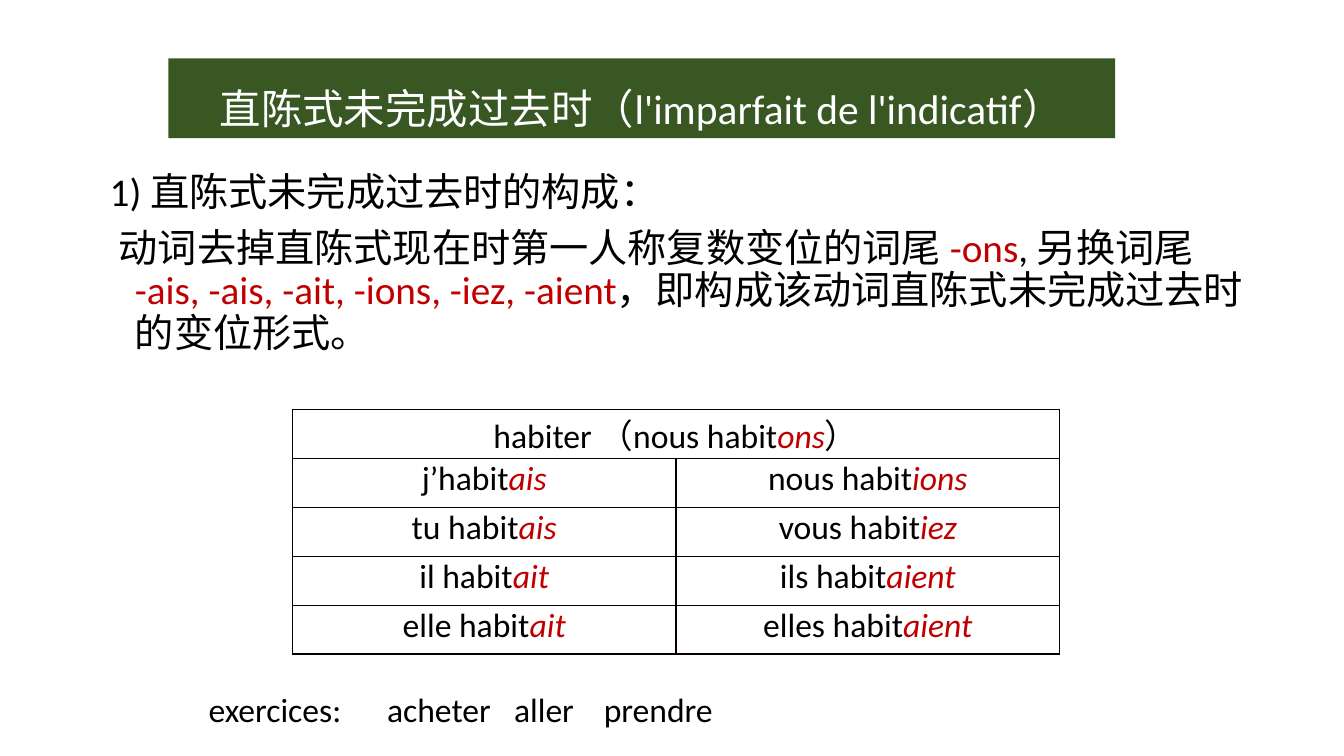
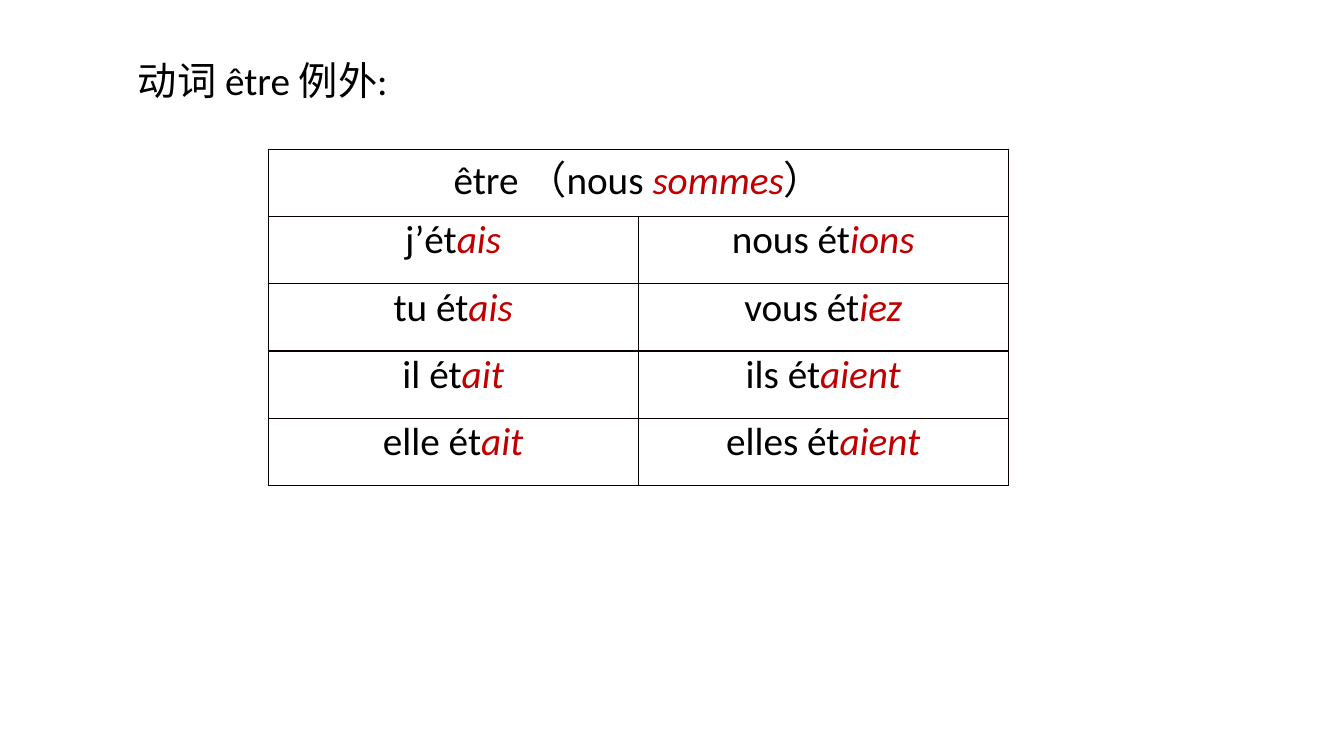
from dataclasses import dataclass
from itertools import groupby

from lxml import etree
from pptx import Presentation
from pptx.dml.color import RGBColor
from pptx.enum.shapes import MSO_SHAPE
from pptx.enum.text import MSO_ANCHOR, PP_ALIGN
from pptx.oxml.ns import qn
from pptx.util import Inches, Pt


@dataclass(frozen=True)
class Theme:
    font: str = "Calibri"
    cjk_font: str = "Noto Sans CJK SC"
    text: RGBColor = RGBColor(0x00, 0x00, 0x00)
    ending: RGBColor = RGBColor(0xC0, 0x00, 0x00)
    banner: RGBColor = RGBColor(0x38, 0x57, 0x23)
    on_banner: RGBColor = RGBColor(0xFF, 0xFF, 0xFF)
    border: str = "080000"
    border_width: float = 1
    title_size: float = 29.6
    body_size: float = 28
    small_size: float = 24
    line_spacing: float = 0.9


THEME = Theme()

# Left pronoun, its ending, right pronoun, its ending
FORMS = [
    ("jʼ", "ais", "nous ", "ions"),
    ("tu ", "ais", "vous ", "iez"),
    ("il ", "ait", "ils ", "aient"),
    ("elle ", "ait", "elles ", "aient"),
]


def add_runs(p, text, size, color=THEME.text, italic=False, cjk_brackets=False):
    """Write text, colouring the parts between asterisks as verb endings."""
    for i, part in enumerate(text.split("*")):
        marked = i % 2 == 1
        for bracket, chars in groupby(part, lambda c: cjk_brackets and c in "（）"):
            r = p.add_run()
            r.text = "".join(chars)
            r.font.size = Pt(size)
            r.font.name = THEME.cjk_font if bracket else THEME.font
            r.font.color.rgb = THEME.ending if marked else color
            r.font.italic = marked and italic
            if bracket:
                ea = etree.SubElement(r.font._element, qn("a:ea"))
                ea.set("typeface", THEME.cjk_font)


def set_indent(p, left, first=0):
    pPr = p._p.get_or_add_pPr()
    pPr.set("marL", str(Inches(left)))
    pPr.set("indent", str(Inches(first)))


def set_tabs(p, stops):
    tabs = etree.SubElement(p._p.get_or_add_pPr(), qn("a:tabLst"))
    for stop in stops:
        etree.SubElement(tabs, qn("a:tab"), pos=str(Inches(stop)), algn="l")


def add_text(slide, box, paragraphs, size, anchor=MSO_ANCHOR.TOP):
    """Add a text box and return its paragraphs."""
    tf = slide.shapes.add_textbox(*map(Inches, box)).text_frame
    tf.word_wrap = True
    tf.vertical_anchor = anchor
    for i, text in enumerate(paragraphs):
        p = tf.add_paragraph() if i else tf.paragraphs[0]
        p.line_spacing = THEME.line_spacing
        if i:
            p.space_before = Pt(10)
        add_runs(p, text, size)
    return tf.paragraphs


def add_banner(slide, box, text):
    s = slide.shapes.add_shape(MSO_SHAPE.RECTANGLE, *map(Inches, box))
    s.shadow.inherit = False
    s.fill.solid()
    s.fill.fore_color.rgb = THEME.banner
    s.line.fill.background()
    tf = s.text_frame
    tf.word_wrap = True
    tf.vertical_anchor = MSO_ANCHOR.BOTTOM
    p = tf.paragraphs[0]
    p.alignment = PP_ALIGN.CENTER
    p.line_spacing = THEME.line_spacing
    add_runs(p, text, THEME.title_size, THEME.on_banner)


def style_cell(cell):
    cell.margin_left = cell.margin_right = cell.margin_top = cell.margin_bottom = 0
    cell.fill.background()
    tcPr = cell._tc.get_or_add_tcPr()
    for i, side in enumerate("LRTB"):
        ln = etree.Element(qn(f"a:ln{side}"), w=str(Pt(THEME.border_width)))
        fill = etree.SubElement(ln, qn("a:solidFill"))
        etree.SubElement(fill, qn("a:srgbClr"), val=THEME.border)
        tcPr.insert(i, ln)


def add_conjugation(slide, box, heading, stem, size):
    """Add a table with a merged heading above the forms of one verb."""
    rows = [(heading, "")] + [
        (f"{left}{stem}*{left_end}*", f"{right}{stem}*{right_end}*")
        for left, left_end, right, right_end in FORMS
    ]
    table = slide.shapes.add_table(len(rows), 2, *map(Inches, box)).table
    table.first_row = table.horz_banding = False
    table.cell(0, 0).merge(table.cell(0, 1))
    for r, texts in enumerate(rows):
        for c, text in enumerate(texts):
            cell = table.cell(r, c)
            style_cell(cell)
            if text:
                p = cell.text_frame.paragraphs[0]
                p.alignment = PP_ALIGN.CENTER
                add_runs(p, text, size, italic=True, cjk_brackets=True)


def build_formation(slide):
    rule, detail = add_text(slide, (0.99, 1.66, 11.5, 2.2), [
        "1) 直陈式未完成过去时的构成：",
        "动词去掉直陈式现在时第一人称复数变位的词尾 *-ons*, 另换词尾 "
        "*-ais, -ais, -ait, -ions, -iez, -aient*，即构成该动词直陈式未完成过去时的变位形式。",
    ], THEME.body_size)
    set_indent(rule, 0.25, -0.25)
    set_indent(detail, 0.25, -0.16)
    add_banner(slide, (1.67, 0.58, 9.39, 0.79),
               "直陈式未完成过去时（l'imparfait de l'indicatif）")
    add_conjugation(slide, (2.9, 4.06, 7.61, 2.43),
                    "habiter\u2002（nous habit*ons*）".replace("\u2002", " "),
                    "habit", THEME.small_size)
    exercises, = add_text(slide, (1.97, 6.61, 8.91, 0.89),
                          ["exercices:\tacheter\taller\tprendre"],
                          THEME.small_size, MSO_ANCHOR.MIDDLE)
    set_tabs(exercises, (1.77, 3.03, 3.92))


def build_exception(slide):
    intro, = add_text(slide, (0.92, 0.56, 11.5, 0.7), ["动词 être 例外:"],
                      THEME.body_size)
    set_indent(intro, 0.35)
    add_conjugation(slide, (2.66, 1.48, 7.34, 3.34), "être （nous *sommes*）",
                    "ét", THEME.body_size)


def main():
    prs = Presentation()
    prs.slide_width, prs.slide_height = Inches(13.33), Inches(7.5)
    for build in (build_formation, build_exception):
        build(prs.slides.add_slide(prs.slide_layouts[6]))
    prs.save("out.pptx")


if __name__ == "__main__":
    main()
